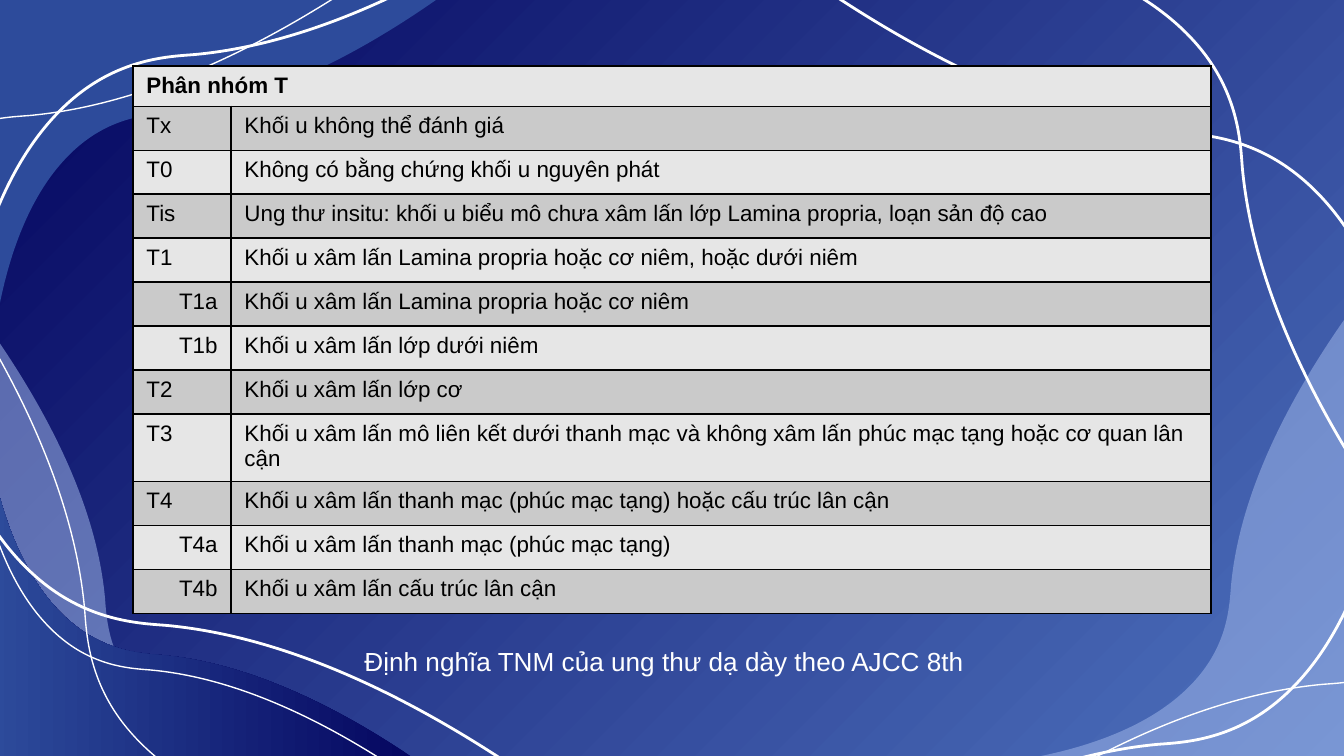
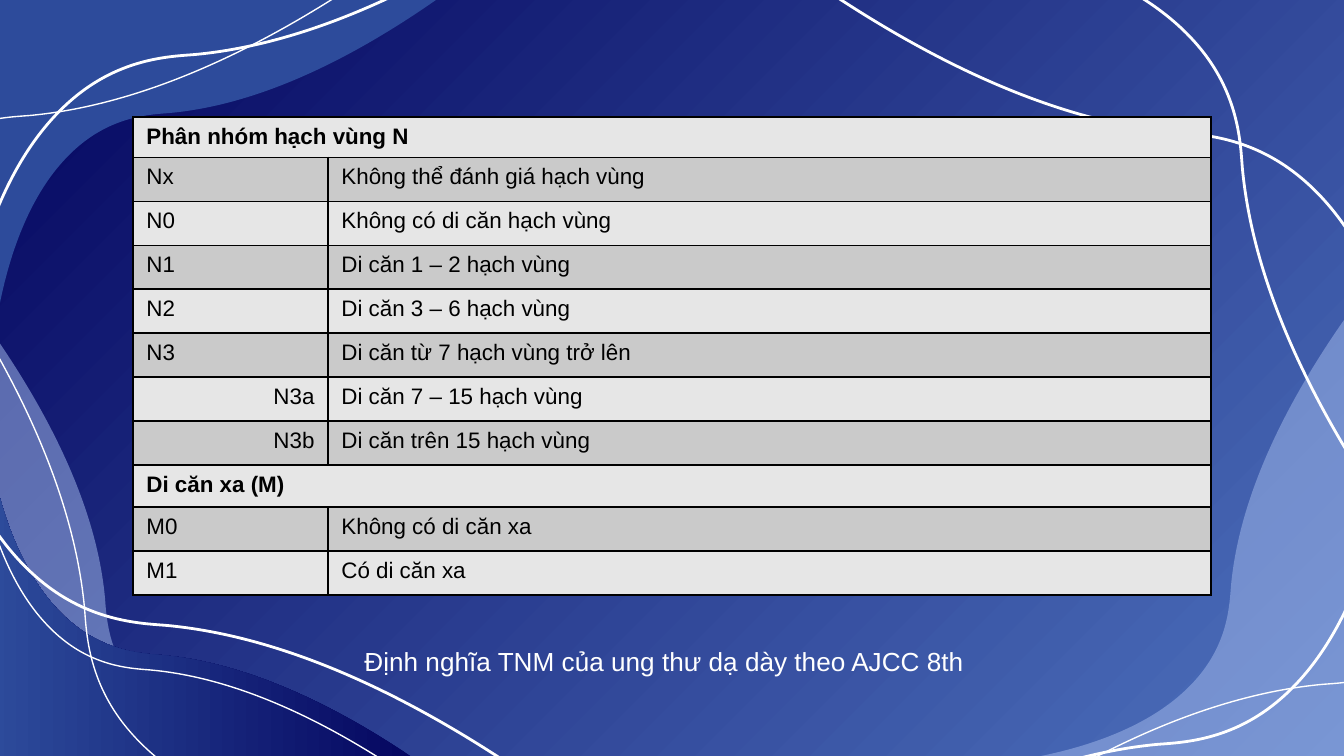
"""Build two slides with the TNM staging tables of gastric cancer."""
from lxml.etree import SubElement
from pptx import Presentation
from pptx.dml.color import RGBColor
from pptx.enum.text import MSO_ANCHOR, MSO_AUTO_SIZE, PP_ALIGN
from pptx.oxml.ns import qn
from pptx.util import Pt

PX = 6804
FONT = "Arial"
NAVY = RGBColor(0x03, 0x04, 0x5E)
BLUE = RGBColor(0x2D, 0x4B, 0x9B)
SKY = RGBColor(0x4E, 0x72, 0xBE)
MIST = RGBColor(0xA0, 0xB7, 0xE9)
WHITE = RGBColor(0xFF, 0xFF, 0xFF)
BLACK = RGBColor(0x00, 0x00, 0x00)
BANDS = [RGBColor(0xE6, 0xE6, 0xE6), RGBColor(0xCA, 0xCA, 0xCA)]

CAPTION = "Định nghĩa TNM của ung thư dạ dày theo AJCC 8th"
UP, DOWN, LEFT, RIGHT = (0, -1), (0, 1), (-1, 0), (1, 0)
THIN, THICK = 0.75, 1.5

WAVE_LENGTH = 324
WAVE_START, WAVE_CORNER = (0, 225), (0, 0)
WAVE_CURVES = [
    [(108, 0), (216, 0), (324, 0)],
    [(235, 62), (170, 80), (126, 84)],
    [(113, 85), (88, 86), (63, 105)],
    [(25, 134), (8, 186), (0, 225)],
]

FILLED_WAVES = [
    (1344, 756, UP, LEFT, 436, "mist"),
    (0, 0, RIGHT, DOWN, 436, "blue"),
    (-8, 768, UP, RIGHT, 436, "mist"),
    (-8, 768, RIGHT, UP, 436, "gradient"),
]
LINE_WAVES = [
    (-19, 783, RIGHT, UP, 436, THIN),
    (-71, 783, RIGHT, UP, 608, THICK),
    (-66, 835, UP, RIGHT, 581, THIN),
    (1412, -25, LEFT, DOWN, 608, THICK),
    (1393, -59, DOWN, LEFT, 581, THICK),
    (1549, 835, LEFT, UP, 581, THIN),
    (1384, 895, LEFT, UP, 581, THICK),
    (-197, -35, RIGHT, DOWN, 581, THIN),
    (-32, -96, RIGHT, DOWN, 581, THICK),
]

TABLE_LEFT = 133
ROW_HEIGHT = 44
SUBGROUPS = {"T1a", "T1b", "T4a", "T4b", "N3a", "N3b"}
STAGES = [
    (66, (98, 980), {0: 36, 8: 59}, [
        ("Phân nhóm T",),
        ("Tx", "Khối u không thể đánh giá"),
        ("T0", "Không có bằng chứng khối u nguyên phát"),
        ("Tis", "Ung thư insitu: khối u biểu mô chưa xâm lấn lớp Lamina propria, loạn sản độ cao"),
        ("T1", "Khối u xâm lấn Lamina propria hoặc cơ niêm, hoặc dưới niêm"),
        ("T1a", "Khối u xâm lấn Lamina propria hoặc cơ niêm"),
        ("T1b", "Khối u xâm lấn lớp dưới niêm"),
        ("T2", "Khối u xâm lấn lớp cơ"),
        ("T3", "Khối u xâm lấn mô liên kết dưới thanh mạc và không xâm lấn "
               "phúc mạc tạng hoặc cơ quan lân cận"),
        ("T4", "Khối u xâm lấn thanh mạc (phúc mạc tạng) hoặc cấu trúc lân cận"),
        ("T4a", "Khối u xâm lấn thanh mạc (phúc mạc tạng)"),
        ("T4b", "Khối u xâm lấn cấu trúc lân cận"),
    ]),
    (117, (195, 883), {0: 36, 8: 42}, [
        ("Phân nhóm hạch vùng N",),
        ("Nx", "Không thể đánh giá hạch vùng"),
        ("N0", "Không có di căn hạch vùng"),
        ("N1", "Di căn 1 – 2 hạch vùng"),
        ("N2", "Di căn 3 – 6 hạch vùng"),
        ("N3", "Di căn từ 7 hạch vùng trở lên"),
        ("N3a", "Di căn 7 – 15 hạch vùng"),
        ("N3b", "Di căn trên 15 hạch vùng"),
        ("Di căn xa (M)",),
        ("M0", "Không có di căn xa"),
        ("M1", "Có di căn xa"),
    ]),
]


def paint_gradient(fill, first, last, angle):
    fill.gradient()
    fill.gradient_angle = angle
    for stop, color, position in zip(fill.gradient_stops, (first, last), (0, 1)):
        stop.color.rgb = color
        stop.position = position


def add_text(para, text, size, color, bold=False):
    span = para.add_run()
    span.text = text
    span.font.name = FONT
    span.font.size = Pt(size)
    span.font.color.rgb = color
    span.font.bold = bold


deck = Presentation()
deck.slide_width, deck.slide_height = 1344 * PX, 756 * PX
layout = deck.slide_layouts[5]
for holder in list(layout.placeholders)[1:]:
    layout.shapes.element.remove(holder.element)
paint_gradient(layout.background.fill, SKY, NAVY, 135)
pages = [deck.slides.add_slide(layout) for stage in STAGES]

grid = [WAVE_START, WAVE_CORNER] + [point for curve in WAVE_CURVES for point in curve]
waves = []
for x, y, along, across, length, style in FILLED_WAVES + LINE_WAVES:
    scale = length / WAVE_LENGTH
    points = [(round((x + scale * (u * along[0] + v * across[0])) * PX),
               round((y + scale * (u * along[1] + v * across[1])) * PX)) for u, v in grid]
    builder = pages[0].shapes.build_freeform(*points[0])
    builder.add_line_segments([points[1]] + points[4::3], close=True)
    wave = builder.convert_to_shape()
    segments = list(wave.element.iter(qn("a:lnTo")))[1:]
    for i, segment in enumerate(segments[:len(WAVE_CURVES)]):
        curve = SubElement(segment.getparent(), qn("a:cubicBezTo"))
        for px, py in points[2 + 3 * i:5 + 3 * i]:
            SubElement(curve, qn("a:pt"), x=str(px - wave.left), y=str(py - wave.top))
        segment.getparent().replace(segment, curve)
    wave.shadow.inherit = False
    if style in (THIN, THICK):
        wave.fill.background()
        wave.line.color.rgb = WHITE
        wave.line.width = Pt(style)
    else:
        wave.line.fill.background()
        if style == "gradient":
            paint_gradient(wave.fill, NAVY, BLUE, 180)
        else:
            wave.fill.solid()
            wave.fill.fore_color.rgb = MIST if style == "mist" else BLUE
        if style == "mist":
            color = wave.element.spPr.find(qn("a:solidFill")).find(qn("a:srgbClr"))
            SubElement(color, qn("a:alpha")).set("val", "53000")
    waves.append(wave)
for wave in waves:
    layout.shapes.element.append(wave.element)

for page, (top, widths, special_heights, rows) in zip(pages, STAGES):
    heights = [special_heights.get(i, ROW_HEIGHT) for i in range(len(rows))]
    frame = page.shapes.add_table(len(rows), 2, TABLE_LEFT * PX, top * PX,
                                  sum(widths) * PX, sum(heights) * PX)
    table = frame.table
    table.first_row = table.horz_banding = False
    for column, width in zip(table.columns, widths):
        column.width = width * PX
    for i, texts in enumerate(rows):
        table.rows[i].height = heights[i] * PX
        is_heading = len(texts) == 1
        if is_heading:
            table.cell(i, 0).merge(table.cell(i, 1))
        for cell in table.rows[i].cells:
            properties = cell._tc.get_or_add_tcPr()
            for side in ("a:lnL", "a:lnR", "a:lnT", "a:lnB"):
                border = SubElement(properties, qn(side), w=str(Pt(1)))
                paint = SubElement(border, qn("a:solidFill"))
                SubElement(paint, qn("a:srgbClr"), val=str(BLACK))
            cell.fill.solid()
            cell.fill.fore_color.rgb = BANDS[i % 2]
        for j, text in enumerate(texts):
            para = table.cell(i, j).text_frame.paragraphs[0]
            para.alignment = PP_ALIGN.RIGHT if text in SUBGROUPS else PP_ALIGN.LEFT
            add_text(para, text, 12, BLACK, is_heading)

    caption = page.shapes.title
    caption.left, caption.top, caption.width, caption.height = (
        351 * PX, 639 * PX, 642 * PX, 46 * PX)
    box = caption.text_frame
    box.word_wrap = True
    box.auto_size = MSO_AUTO_SIZE.SHAPE_TO_FIT_TEXT
    box.vertical_anchor = MSO_ANCHOR.TOP
    para = box.paragraphs[0]
    para.alignment = PP_ALIGN.JUSTIFY
    add_text(para, CAPTION, 14, WHITE)

deck.save("out.pptx")
